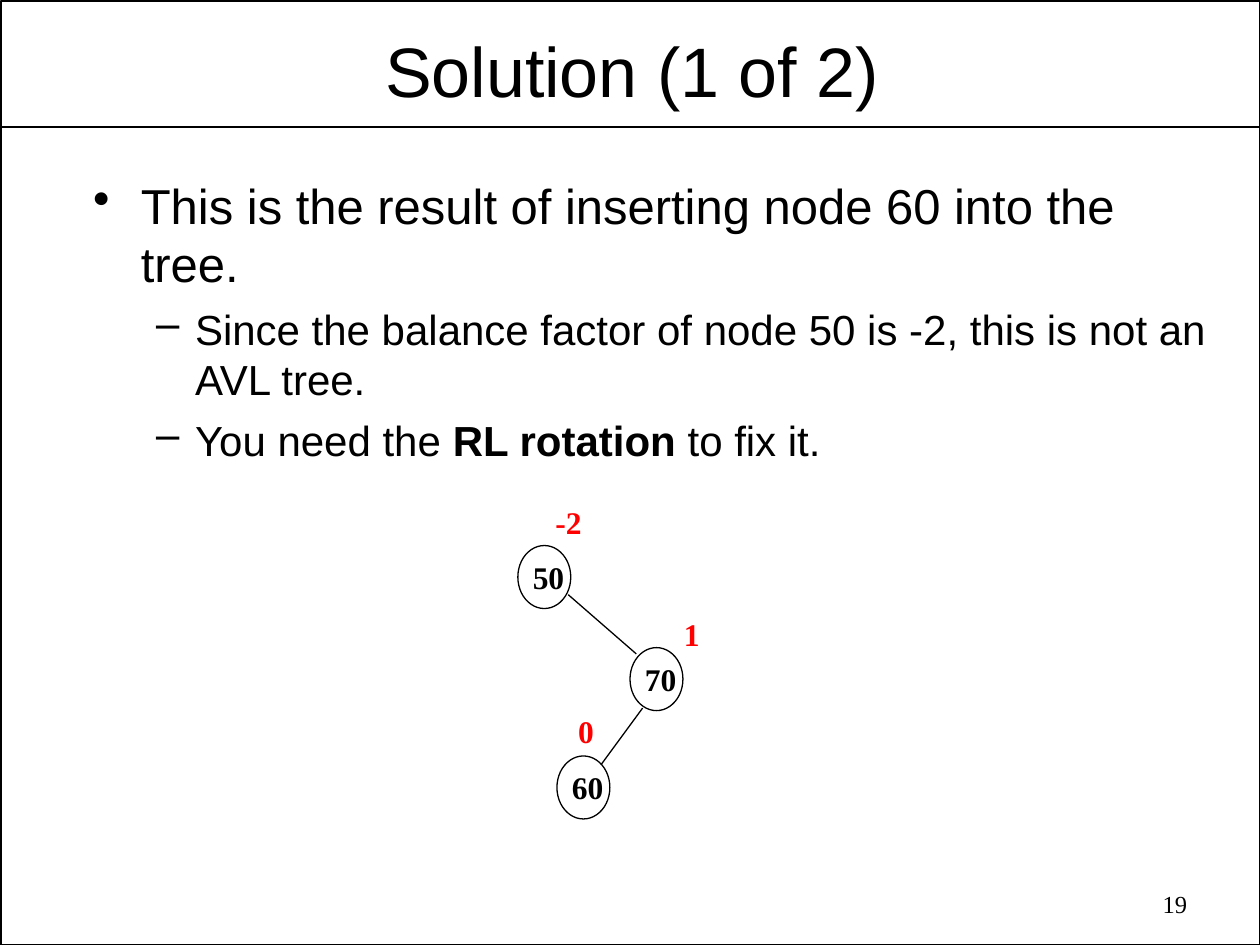
from dataclasses import dataclass

import pptx
import pptx.dml.color
import pptx.enum.shapes
import pptx.enum.text
import pptx.oxml
import pptx.oxml.ns
import pptx.util

Inches = pptx.util.Inches
Pt = pptx.util.Pt
RGBColor = pptx.dml.color.RGBColor
PP_ALIGN = pptx.enum.text.PP_ALIGN
MSO_SHAPE = pptx.enum.shapes.MSO_SHAPE


@dataclass(frozen=True)
class Theme:
    ink: RGBColor = RGBColor(0, 0, 0)
    accent: RGBColor = RGBColor(255, 0, 0)
    sans: str = "Arial"
    serif: str = "Times New Roman"
    title: int = 40
    body: int = 28
    sub_body: int = 24
    node: int = 18
    page: int = 14
    frame_line: float = 1
    tree_line: float = 0.75


@dataclass(frozen=True)
class Node:
    key: str
    left: float
    top: float
    balance: str
    balance_box: tuple[float, float, float]  # left, top, width


@dataclass(frozen=True)
class Edge:
    start: tuple[float, float]
    end: tuple[float, float]


@dataclass(frozen=True)
class Bullet:
    runs: tuple[tuple[str, bool], ...]
    level: int = 0


@dataclass(frozen=True)
class BulletStyle:
    char: str
    size: int
    margin: float
    hanging: float


THEME = Theme()
NODE_SIZE = (0.42, 0.5)
NODES = (
    Node("50", 4.11, 4.33, "-2", (4.31, 3.94, 0.41)),
    Node("70", 5.0, 5.14, "1", (5.33, 4.83, 0.32)),
    Node("60", 4.42, 6.0, "0", (4.49, 5.6, 0.32)),
)
EDGES = (
    Edge((5.05, 5.19), (4.51, 4.72)),
    Edge((4.77, 6.07), (5.1, 5.62)),
)
BULLET_STYLES = (
    BulletStyle("•", THEME.body, 0.38, 0.38),
    BulletStyle("–", THEME.sub_body, 0.81, 0.31),
)
BULLETS = (
    Bullet((("This is the result of inserting node 60 into the tree.", False),)),
    Bullet((("Since the balance factor of node 50 is -2, this is not an AVL tree.", False),), 1),
    Bullet((("You need the ", False), ("RL rotation ", True), ("to fix it.", False)), 1),
)


def add_run(p, text: str, *, size: float, font: str = THEME.sans,
            color: RGBColor = THEME.ink, bold: bool = False) -> None:
    r = p.add_run()
    r.text = text
    r.font.size = Pt(size)
    r.font.name = font
    r.font.color.rgb = color
    r.font.bold = bold


def add_label(shapes, text: str, box: tuple[float, float, float, float], *,
              align=PP_ALIGN.LEFT, wrap: bool = False, **run_format) -> None:
    tf = shapes.add_textbox(*map(Inches, box)).text_frame
    tf.word_wrap = wrap
    p = tf.paragraphs[0]
    p.alignment = align
    add_run(p, text, font=THEME.serif, **run_format)


def add_outline(shapes, kind, box: tuple[float, float, float, float], weight: float) -> None:
    sp = shapes.add_shape(kind, *map(Inches, box))
    sp.shadow.inherit = False
    sp.fill.background()
    sp.line.color.rgb = THEME.ink
    sp.line.width = Pt(weight)


def add_line(shapes, edge: Edge, weight: float) -> None:
    line = shapes.add_connector(pptx.enum.shapes.MSO_CONNECTOR.STRAIGHT,
                                *map(Inches, edge.start + edge.end))
    line.line.color.rgb = THEME.ink
    line.line.width = Pt(weight)
    line._element.spPr.append(pptx.oxml.parse_xml(
        f"<a:effectLst {pptx.oxml.ns.nsdecls('a')}/>"))


def add_title(s, text: str) -> None:
    sp = s.shapes.title
    sp.left, sp.top, sp.width, sp.height = map(Inches, (0.53, 0.19, 8.97, 0.72))
    tf = sp.text_frame
    tf.margin_left = tf.margin_right = Inches(0.07)
    tf.margin_top = tf.margin_bottom = Inches(0.03)
    tf.vertical_anchor = pptx.enum.text.MSO_ANCHOR.MIDDLE
    p = tf.paragraphs[0]
    p.alignment = PP_ALIGN.CENTER
    add_run(p, text, size=THEME.title)


def add_bullets(s, bullets: tuple[Bullet, ...]) -> None:
    tf = s.shapes.add_textbox(*map(Inches, (0.64, 1.29, 9.17, 2.57))).text_frame
    tf.word_wrap = True
    tf.margin_top = Inches(0.1)
    for i, bullet in enumerate(bullets):
        style = BULLET_STYLES[bullet.level]
        p = tf.paragraphs[0] if i == 0 else tf.add_paragraph()
        p.level = bullet.level
        if i:
            p.space_before = Pt(6)
        pPr = p._p.get_or_add_pPr()
        pPr.set("marL", str(Inches(style.margin)))
        pPr.set("indent", str(-Inches(style.hanging)))
        pPr.append(pptx.oxml.parse_xml(
            f'<a:buChar {pptx.oxml.ns.nsdecls("a")} char="{style.char}"/>'))
        for text, bold in bullet.runs:
            add_run(p, text, size=style.size, bold=bold)


def add_node(s, node: Node) -> None:
    """Draw a tree node as a group, with its balance factor above it."""
    group = s.shapes.add_group_shape()
    add_label(group.shapes, node.key, (node.left + 0.02, node.top + 0.05, 0.45, 0.4),
              size=THEME.node, bold=True)
    add_outline(group.shapes, MSO_SHAPE.OVAL, (node.left, node.top, *NODE_SIZE),
                THEME.tree_line)
    add_label(s.shapes, node.balance, (*node.balance_box, 0.4),
              size=THEME.node, bold=True, color=THEME.accent)


def main() -> None:
    prs = pptx.Presentation()
    prs.slide_width, prs.slide_height = Inches(10), Inches(7.5)
    s = prs.slides.add_slide(prs.slide_layouts.get_by_name("Title Only"))

    add_outline(s.shapes, MSO_SHAPE.RECTANGLE, (0.01, 0.01, 9.99, 7.49), THEME.frame_line)
    add_line(s.shapes, Edge((0.01, 1.01), (9.99, 1.01)), THEME.frame_line)
    add_title(s, "Solution (1 of 2)")
    add_bullets(s, BULLETS)
    add_label(s.shapes, "19", (7.18, 7.01, 2.34, 0.36), align=PP_ALIGN.RIGHT,
              wrap=True, size=THEME.page)
    for node in NODES:
        add_node(s, node)
    for edge in EDGES:
        add_line(s.shapes, edge, THEME.tree_line)

    prs.save("out.pptx")


if __name__ == "__main__":
    main()
